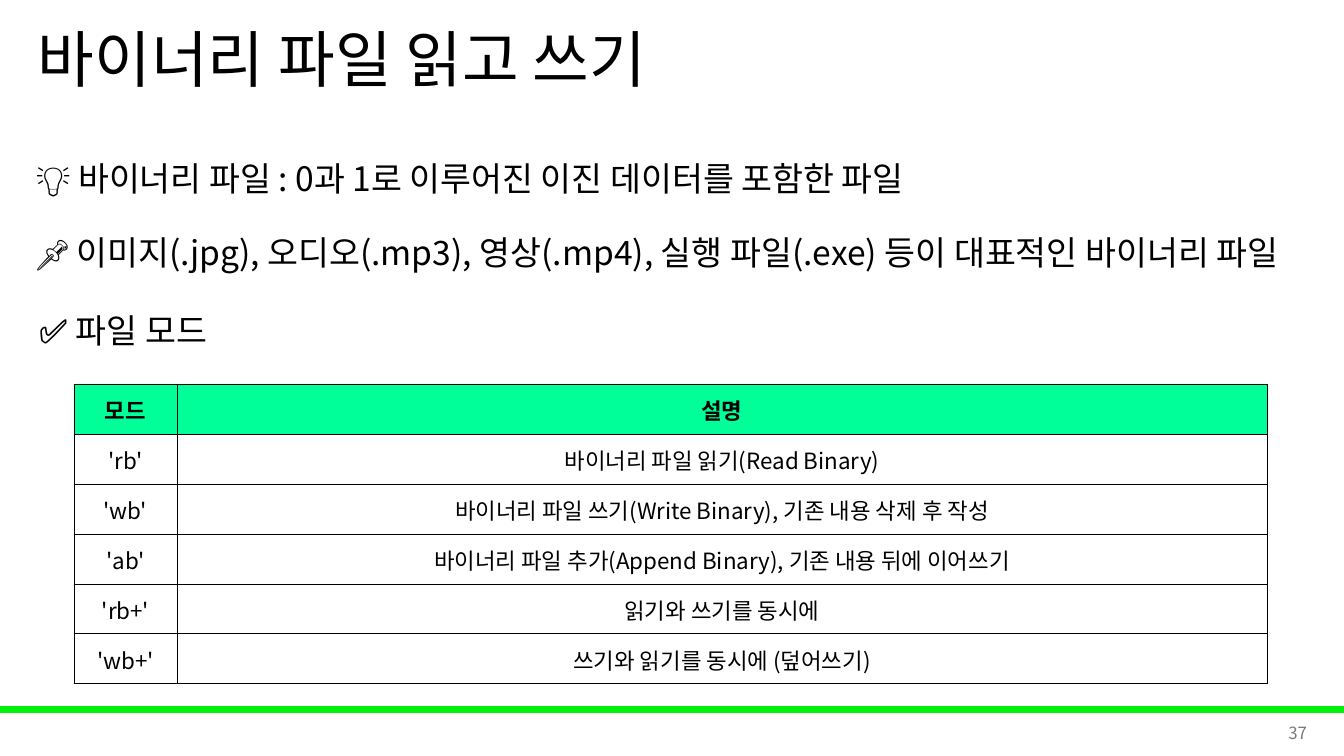
import lxml.etree
import pptx
import pptx.dml.color
import pptx.enum.shapes
import pptx.enum.text
import pptx.oxml.ns
import pptx.util

RGBColor = pptx.dml.color.RGBColor
Align = pptx.enum.text.PP_ALIGN
Anchor = pptx.enum.text.MSO_ANCHOR
qn = pptx.oxml.ns.qn

BLACK = RGBColor(0x00, 0x00, 0x00)
GRAY = RGBColor(0x79, 0x79, 0x79)
BAR_GREEN = RGBColor(0x00, 0xF2, 0x09)
HEADER_GREEN = RGBColor(0x00, 0xFF, 0x99)

SLIDE_WIDTH, SLIDE_HEIGHT = 1344, 756
EMU_PER_PX = 12192000 / SLIDE_WIDTH

BODY_LINES = [
    "💡 바이너리 파일 : 0과 1로 이루어진 이진 데이터를 포함한 파일",
    "📌 이미지(.jpg), 오디오(.mp3), 영상(.mp4), 실행 파일(.exe) 등이 대표적인 바이너리 파일",
]
MODE_ROWS = [
    ("모드", "설명"),
    ("'rb'", "바이너리 파일 읽기(Read Binary)"),
    ("'wb'", "바이너리 파일 쓰기(Write Binary), 기존 내용 삭제 후 작성"),
    ("'ab'", "바이너리 파일 추가(Append Binary), 기존 내용 뒤에 이어쓰기"),
    ("'rb+'", "읽기와 쓰기를 동시에"),
    ("'wb+'", "쓰기와 읽기를 동시에 (덮어쓰기)"),
]


def px(length):
    return pptx.util.Emu(round(length * EMU_PER_PX))


class SlideBuilder:
    font = "Noto Sans CJK KR"

    def __init__(self, slide):
        self.slide = slide

    def add_run(self, para, text, size, color=BLACK, bold=False):
        span = para.add_run()
        span.text = text
        span.font.name = self.font
        span.font.size = pptx.util.Pt(size)
        span.font.bold = bold
        span.font.color.rgb = color
        properties = span._r.get_or_add_rPr()
        lxml.etree.SubElement(properties, qn("a:ea"), typeface=self.font)

    def add_bar(self, left, top, width, height, color):
        bar = self.slide.shapes.add_shape(
            pptx.enum.shapes.MSO_SHAPE.RECTANGLE, px(left), px(top), px(width), px(height))
        bar.shadow.inherit = False
        bar.fill.solid()
        bar.fill.fore_color.rgb = color
        bar.line.color.rgb = color
        bar.line.width = pptx.util.Pt(1)

    def add_text(self, left, top, width, height, lines, size, color=BLACK,
                 align=Align.LEFT, anchor=Anchor.MIDDLE, spacing=1.0, gap=0):
        """Add one paragraph per line, with gap points between paragraphs."""
        box = self.slide.shapes.add_textbox(px(left), px(top), px(width), px(height))
        frame = box.text_frame
        frame.word_wrap = True
        frame.vertical_anchor = anchor
        for index, line in enumerate(lines):
            para = frame.add_paragraph() if index else frame.paragraphs[0]
            para.alignment = align
            para.line_spacing = spacing
            if index:
                para.space_before = pptx.util.Pt(gap)
            self.add_run(para, line, size, color)

    def add_borders(self, cell, color, width):
        properties = cell._tc.get_or_add_tcPr()
        for side in ("a:lnL", "a:lnR", "a:lnT", "a:lnB"):
            line = lxml.etree.SubElement(properties, qn(side), w=str(pptx.util.Pt(width)))
            fill = lxml.etree.SubElement(line, qn("a:solidFill"))
            lxml.etree.SubElement(fill, qn("a:srgbClr"), val=str(color))

    def add_table(self, left, top, column_widths, row_height, rows, size):
        frame = self.slide.shapes.add_table(
            len(rows), len(column_widths), px(left), px(top),
            px(sum(column_widths)), px(row_height * len(rows)))
        table = frame.table
        table.horz_banding = False
        for column, width in zip(table.columns, column_widths):
            column.width = px(width)
        for row_index, texts in enumerate(rows):
            is_header = row_index == 0
            table.rows[row_index].height = px(row_height)
            for column_index, text in enumerate(texts):
                cell = table.cell(row_index, column_index)
                cell.margin_left = cell.margin_right = cell.margin_top = px(1)
                cell.margin_bottom = 0
                cell.vertical_anchor = Anchor.MIDDLE
                self.add_borders(cell, BLACK, 0.5)
                if is_header:
                    cell.fill.solid()
                    cell.fill.fore_color.rgb = HEADER_GREEN
                else:
                    cell.fill.background()
                para = cell.text_frame.paragraphs[0]
                para.alignment = Align.CENTER
                self.add_run(para, text, size, bold=is_header)


def main():
    deck = pptx.Presentation()
    deck.slide_width = px(SLIDE_WIDTH)
    deck.slide_height = px(SLIDE_HEIGHT)
    page = SlideBuilder(deck.slides.add_slide(deck.slide_layouts[6]))

    page.add_bar(0, 707, SLIDE_WIDTH, 5, BAR_GREEN)
    page.add_text(1015, 713, 302, 40, ["37"], 12, color=GRAY, align=Align.RIGHT)
    page.add_text(28, 0, 1159, 126, ["바이너리 파일 읽고 쓰기"], 44, spacing=0.9)
    page.add_text(26, 126, 1290, 158, BODY_LINES, 24, spacing=1.5, gap=10)
    page.add_table(74, 384, (103, 1090), 50, MODE_ROWS, 16)
    page.add_text(29, 285, 674, 65, ["✅ 파일 모드"], 24, anchor=Anchor.TOP, spacing=1.5)

    deck.save("out.pptx")


if __name__ == "__main__":
    main()
